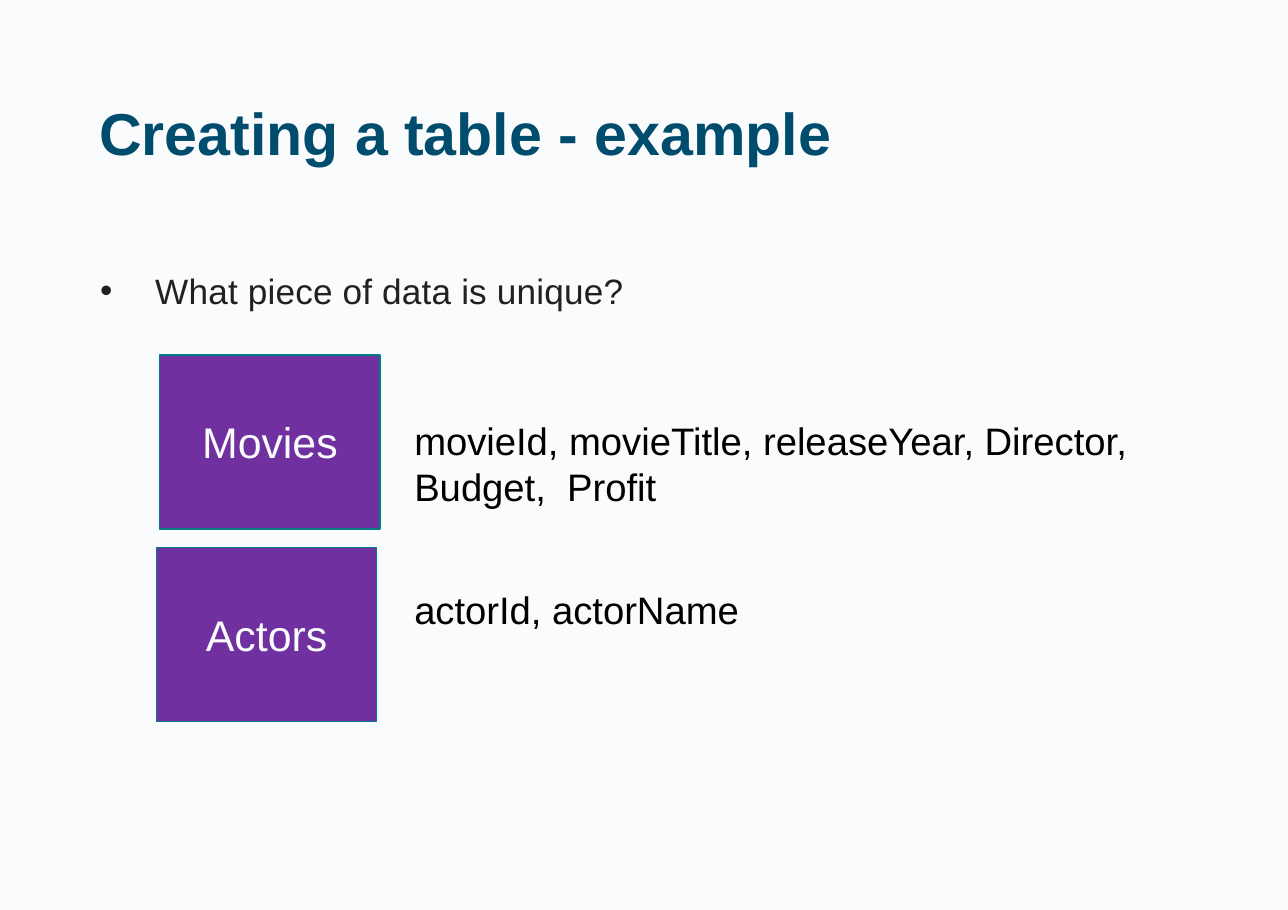
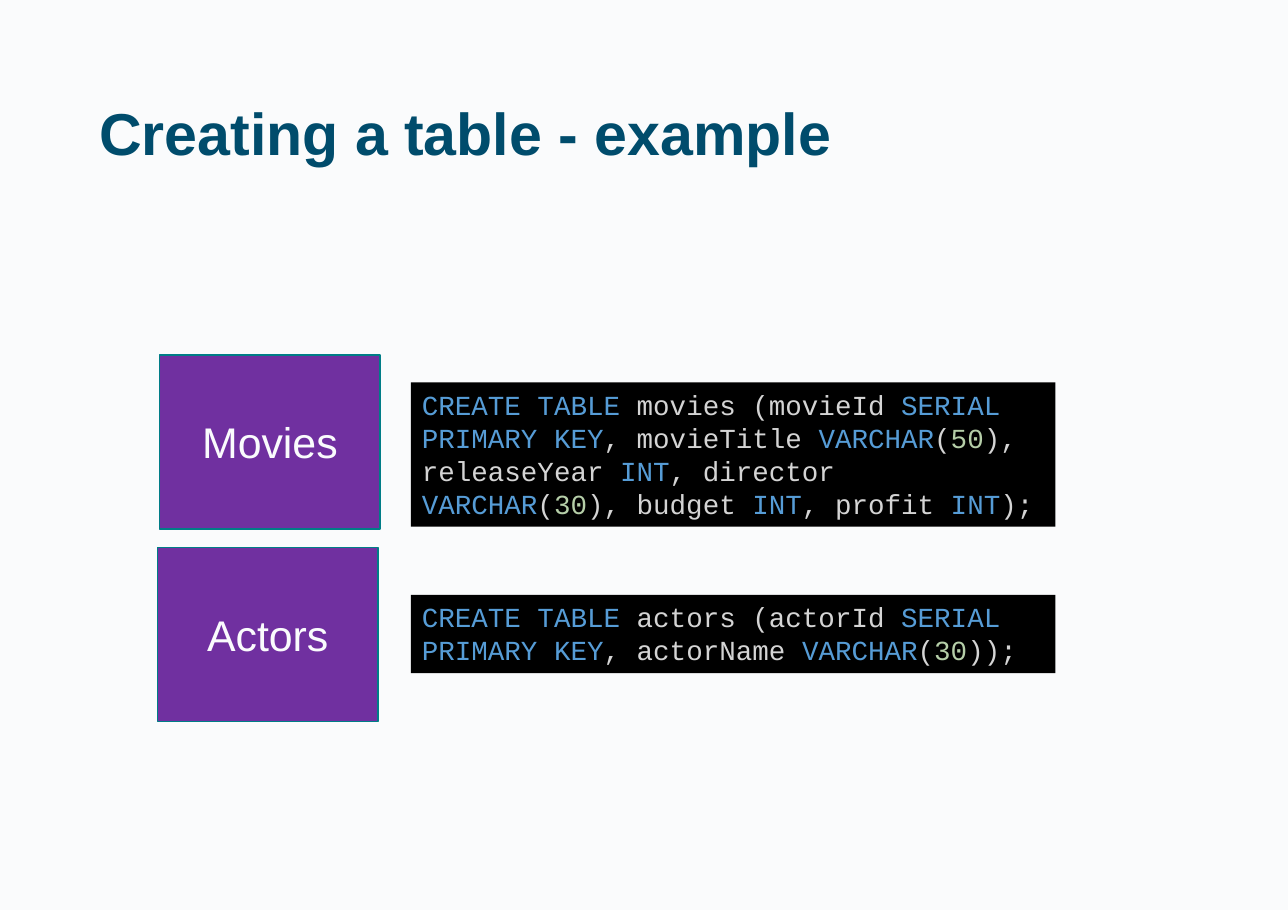
from dataclasses import dataclass

from lxml import etree
from pptx import Presentation
from pptx import util as u
from pptx.dml.color import RGBColor
from pptx.enum import shapes, text
from pptx.oxml.ns import qn

EMU_PER_PX = 9144


@dataclass(frozen=True)
class Theme:
    background: str = "FAFBFC"
    title: str = "004C6C"
    body: str = "212121"
    attributes: str = "000000"
    entity_fill: str = "7030A0"
    entity_line: str = "007D87"
    entity_text: str = "FAFBFD"
    code_fill: str = "000000"
    code_plain: str = "D4D4D4"
    code_keyword: str = "569CD6"
    code_number: str = "B5CEA8"
    font: str = "Arial"
    code_font: str = "Courier New"
    title_size: float = 38.6
    body_size: float = 23
    attributes_size: float = 25
    entity_size: float = 28
    code_size: float = 18


@dataclass(frozen=True)
class Box:
    left: int
    top: int
    width: int
    height: int


@dataclass(frozen=True)
class Item:
    box: Box
    content: str


THEME = Theme()
SLIDE_WIDTH, SLIDE_HEIGHT = 1169, 826
TITLE = Item(Box(80, 44, 1009, 160), "Creating a table - example")
QUESTION = Item(Box(80, 220, 1009, 524), "What piece of data is unique?")
ENTITY_NAMES = ("Movies", "Actors")
ENTITY_TOP, ENTITY_PITCH = 322, 175
ENTITY_WIDTH, ENTITY_HEIGHT = 200, 158
ATTRIBUTES = (
    Item(Box(375, 378, 701, 86),
         "movieId, movieTitle, releaseYear, Director, Budget,  Profit"),
    Item(Box(375, 531, 318, 43), "actorId, actorName"),
)
KEYWORDS = {"CREATE TABLE", "SERIAL PRIMARY KEY", "VARCHAR", "INT"}
STATEMENTS = (
    Item(Box(373, 347, 585, 131),
         "CREATE TABLE| movies (movieId |SERIAL PRIMARY KEY|, movieTitle |VARCHAR|(|50"
         "|), releaseYear |INT|, director |VARCHAR|(|30|), budget |INT|, profit |INT|);"),
    Item(Box(373, 540, 585, 71),
         "CREATE TABLE| actors (actorId |SERIAL PRIMARY KEY|, actorName |VARCHAR|(|30|));"),
)


def px(length: int) -> u.Emu:
    return u.Emu(length * EMU_PER_PX)


def place(box: Box) -> tuple:
    return px(box.left), px(box.top), px(box.width), px(box.height)


def style(run, size: float, color: str, font: str = THEME.font, bold: bool = False) -> None:
    run.font.name = font
    run.font.size = u.Pt(size)
    run.font.bold = bold
    run.font.color.rgb = RGBColor.from_string(color)


def add_titled_slide(presentation):
    slide = presentation.slides.add_slide(presentation.slide_layouts[5])
    title = slide.shapes.title
    title.left, title.top, title.width, title.height = place(TITLE.box)
    frame = title.text_frame
    frame.text = TITLE.content
    frame.auto_size = text.MSO_AUTO_SIZE.NONE
    frame.vertical_anchor = text.MSO_ANCHOR.MIDDLE
    paragraph = frame.paragraphs[0]
    paragraph.alignment = text.PP_ALIGN.LEFT
    paragraph.line_spacing = 0.9
    style(paragraph.runs[0], THEME.title_size, THEME.title, bold=True)
    return slide


def add_text(slide, item: Item, size: float, color: str):
    frame = slide.shapes.add_textbox(*place(item.box)).text_frame
    frame.word_wrap = True
    frame.text = item.content
    style(frame.paragraphs[0].runs[0], size, color)
    return frame


def add_question(slide, item: Item) -> None:
    paragraph = add_text(slide, item, THEME.body_size, THEME.body).paragraphs[0]
    paragraph.line_spacing = 1.5
    paragraph.space_before = u.Pt(0.9)
    paragraph.runs[0].font._element.set("spc", "10")
    properties = paragraph._p.get_or_add_pPr()
    properties.set("marL", str(px(51)))
    properties.set("indent", str(px(-50)))
    bullet_color = etree.SubElement(properties, qn("a:buClr"))
    etree.SubElement(bullet_color, qn("a:srgbClr"), val=THEME.body)
    etree.SubElement(properties, qn("a:buFont"), typeface=THEME.font)
    etree.SubElement(properties, qn("a:buChar"), char="•")


def add_attributes(slide, item: Item) -> None:
    frame = add_text(slide, item, THEME.attributes_size, THEME.attributes)
    frame.margin_left = frame.margin_right = frame.margin_bottom = 0
    frame.margin_top = px(1)
    frame.auto_size = text.MSO_AUTO_SIZE.SHAPE_TO_FIT_TEXT
    paragraph = frame.paragraphs[0]
    paragraph.space_before = u.Pt(1)
    paragraph._p.get_or_add_pPr().set("marL", str(px(1)))


def add_rectangle(slide, box: Box, fill: str):
    shape = slide.shapes.add_shape(shapes.MSO_SHAPE.RECTANGLE, *place(box))
    shape.shadow.inherit = False
    shape.fill.solid()
    shape.fill.fore_color.rgb = RGBColor.from_string(fill)
    shape.text_frame.word_wrap = True
    return shape


def add_entities(slide, lefts: tuple[int, int]) -> None:
    for row, (name, left) in enumerate(zip(ENTITY_NAMES, lefts)):
        box = Box(left, ENTITY_TOP + row * ENTITY_PITCH, ENTITY_WIDTH, ENTITY_HEIGHT)
        shape = add_rectangle(slide, box, THEME.entity_fill)
        shape.line.color.rgb = RGBColor.from_string(THEME.entity_line)
        shape.line.width = u.Pt(1)
        frame = shape.text_frame
        frame.text = name
        frame.vertical_anchor = text.MSO_ANCHOR.MIDDLE
        paragraph = frame.paragraphs[0]
        paragraph.alignment = text.PP_ALIGN.CENTER
        style(paragraph.runs[0], THEME.entity_size, THEME.entity_text)


def code_color(token: str) -> str:
    if token in KEYWORDS:
        return THEME.code_keyword
    return THEME.code_number if token.isdigit() else THEME.code_plain


def add_statement(slide, item: Item) -> None:
    shape = add_rectangle(slide, item.box, THEME.code_fill)
    shape.line.fill.background()
    frame = shape.text_frame
    frame.vertical_anchor = text.MSO_ANCHOR.TOP
    frame.auto_size = text.MSO_AUTO_SIZE.SHAPE_TO_FIT_TEXT
    paragraph = frame.paragraphs[0]
    paragraph.alignment = text.PP_ALIGN.LEFT
    for token in item.content.split("|"):
        run = paragraph.add_run()
        run.text = token
        style(run, THEME.code_size, code_color(token), THEME.code_font)


def build_attributes_slide(presentation) -> None:
    slide = add_titled_slide(presentation)
    add_question(slide, QUESTION)
    for item in ATTRIBUTES:
        add_attributes(slide, item)
    add_entities(slide, (145, 142))


def build_statements_slide(presentation) -> None:
    slide = add_titled_slide(presentation)
    add_entities(slide, (145, 143))
    for item in STATEMENTS:
        add_statement(slide, item)


def main() -> None:
    presentation = Presentation()
    presentation.slide_width = px(SLIDE_WIDTH)
    presentation.slide_height = px(SLIDE_HEIGHT)
    background = presentation.slide_master.background.fill
    background.solid()
    background.fore_color.rgb = RGBColor.from_string(THEME.background)
    build_attributes_slide(presentation)
    build_statements_slide(presentation)
    presentation.save("out.pptx")


if __name__ == "__main__":
    main()
